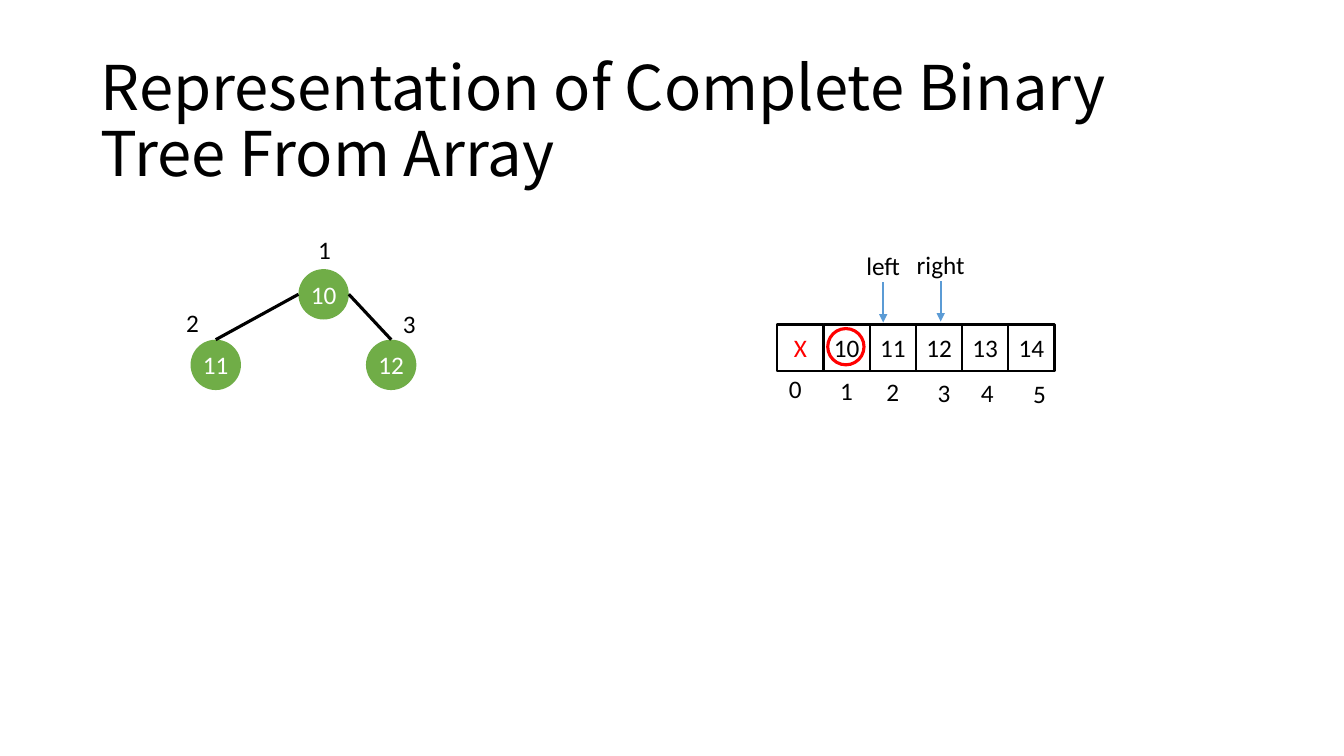
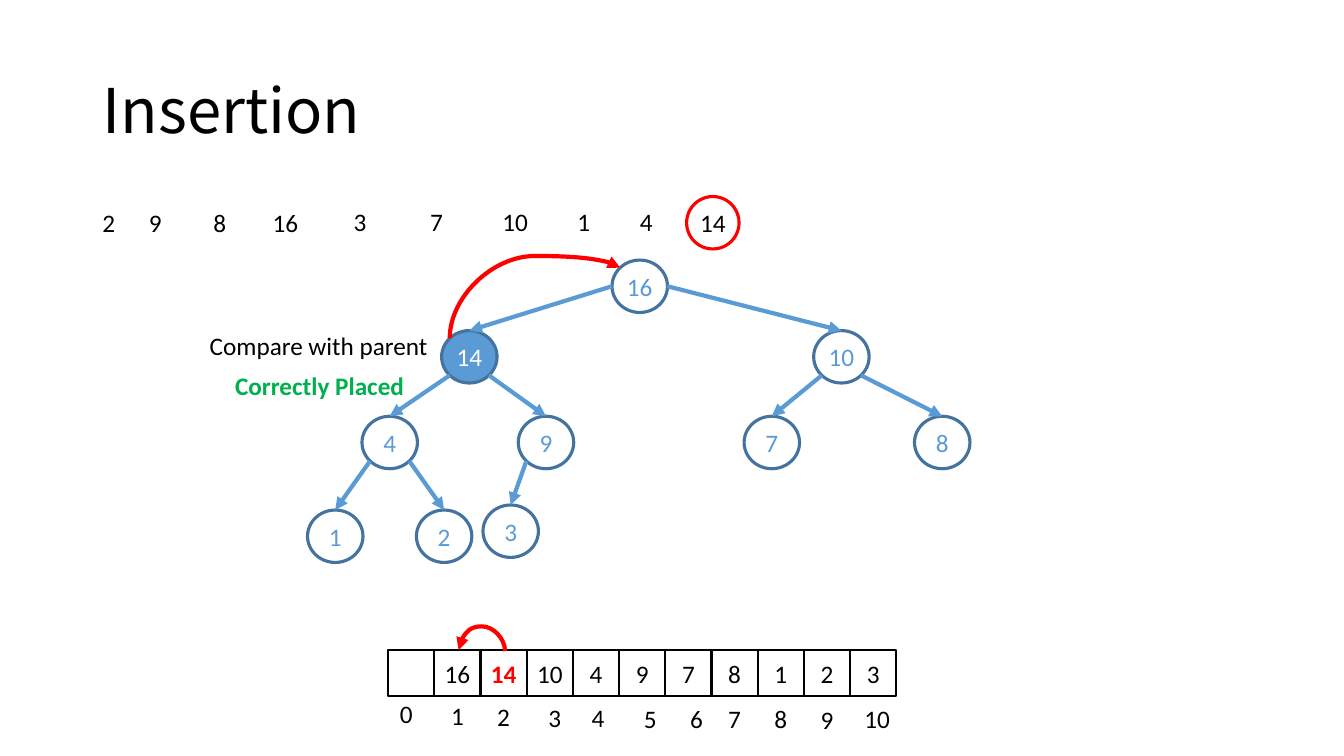
from math import cos, radians, sin

from lxml.etree import SubElement
from pptx import Presentation
from pptx.dml.color import RGBColor
from pptx.enum.shapes import MSO_CONNECTOR, MSO_SHAPE
from pptx.enum.text import MSO_ANCHOR, PP_ALIGN
from pptx.oxml.ns import qn
from pptx.util import Inches, Pt

BLACK, WHITE, RED = "000000", "FFFFFF", "FF0000"
GREEN, BLUE, DARK_BLUE, SUCCESS = "70AD47", "5B9BD5", "43739E", "00B050"
TITLE_FONT, BODY_FONT = "Noto Sans CJK SC", "Calibri"
LABEL_HEIGHT = 0.4
# Offset of each index label from its cell: (from cell centre, from cell top)
INDEX_OFFSETS = [
    (-0.05, 0.43), (0, 0.45), (0, 0.46), (0.05, 0.47), (0.02, 0.47), (0.08, 0.48),
    (0.08, 0.48), (0, 0.48), (0, 0.48), (0, 0.49), (0.04, 0.48),
]


def rgb(color):
    return RGBColor.from_string(color)


def rim_point(node, angle):
    """Point on an ellipse, in inches; angles run clockwise from the right."""
    rx, ry = node.width.inches / 2, node.height.inches / 2
    return (node.left.inches + rx + rx * cos(radians(angle)),
            node.top.inches + ry + ry * sin(radians(angle)))


class SlidePainter:
    def __init__(self, deck):
        self.deck = deck
        self.slide = None

    def new_slide(self, title, left, top):
        self.slide = self.deck.slides.add_slide(self.deck.slide_layouts[6])
        box = self.slide.shapes.add_textbox(
            Inches(left), Inches(top), Inches(11.5), Inches(1.45))
        self.set_text(box, title, BLACK, size=44, font=TITLE_FONT)
        box.text_frame.word_wrap = True
        paragraph = box.text_frame.paragraphs[0]
        paragraph.alignment = PP_ALIGN.LEFT
        paragraph.line_spacing = 0.9

    def set_text(self, shape, text, color, bold=False, size=18, font=BODY_FONT):
        frame = shape.text_frame
        frame.text = text
        frame.word_wrap = False
        frame.vertical_anchor = MSO_ANCHOR.MIDDLE
        paragraph = frame.paragraphs[0]
        paragraph.alignment = PP_ALIGN.CENTER
        paragraph.font.name = font
        paragraph.font.size = Pt(size)
        paragraph.font.bold = bold
        paragraph.font.color.rgb = rgb(color)

    def label(self, text, center, top, color=BLACK, bold=False, width=0.46):
        box = self.slide.shapes.add_textbox(
            Inches(center - width / 2), Inches(top), Inches(width), Inches(LABEL_HEIGHT))
        self.set_text(box, text, color, bold)

    def shape(self, kind, left, top, width, height, fill=None, line=None, weight=2.25):
        shape = self.slide.shapes.add_shape(
            kind, Inches(left), Inches(top), Inches(width), Inches(height))
        shape.shadow.inherit = False
        if fill:
            shape.fill.solid()
            shape.fill.fore_color.rgb = rgb(fill)
        else:
            shape.fill.background()
        if line:
            shape.line.color.rgb = rgb(line)
            shape.line.width = Pt(weight)
        else:
            shape.line.fill.background()
        return shape

    def circle(self, left, top, width, height, text="", color=BLACK, fill=None, line=None):
        circle = self.shape(MSO_SHAPE.OVAL, left, top, width, height, fill, line)
        if text:
            self.set_text(circle, text, color)
        return circle

    def line(self, start, end, color, weight, arrow=True, kind=MSO_CONNECTOR.STRAIGHT):
        connector = self.slide.shapes.add_connector(
            kind, *(Inches(value) for value in (*start, *end)))
        connector.line.color.rgb = rgb(color)
        connector.line.width = Pt(weight)
        properties = connector.element.spPr
        if arrow:
            SubElement(properties.find(qn("a:ln")), qn("a:tailEnd"), type="triangle")
        SubElement(properties, qn("a:effectLst"))
        return connector

    def arc(self, start, end, peak):
        """Red curved arrow that leaves and arrives vertically, bending at height peak."""
        (x1, y1), (x2, y2) = start, end
        x, y = (x1 + x2) / 2, (y1 + y2) / 2
        across, down = (y2 - y1) / 2, (x1 - x2) / 2
        connector = self.line((x - across, y - down), (x + across, y + down),
                              RED, 3, kind=MSO_CONNECTOR.CURVE)
        properties = connector.element.spPr
        properties.find(qn("a:xfrm")).set("rot", str(90 * 60000))
        bend = round((peak - y1) / (y2 - y1) * 100000)
        guides = properties.find(qn("a:prstGeom")).find(qn("a:avLst"))
        SubElement(guides, qn("a:gd"), name="adj1", fmla=f"val {bend}")

    def tree(self, nodes, size, node_style, edge_style, styles=None):
        """Draw a binary tree from (text, left, top) nodes in level order."""
        circles = []
        for index, (text, left, top) in enumerate(nodes):
            style = {**node_style, **(styles or {}).get(index, {})}
            circles.append(self.circle(left, top, *size, text, **style))
        for index in range(1, len(circles)):
            parent = (index - 1) // 2
            tilt = 45 if parent else 0
            angle = 180 - tilt if index % 2 else tilt
            self.line(rim_point(circles[parent], angle),
                      rim_point(circles[index], 270), **edge_style)
        return circles

    def array(self, values, left, top, width, accent, bold=False):
        """Row of cells with indexes below; the accent cell's text is red."""
        step = width / len(values)
        for index, (value, (shift, drop)) in enumerate(zip(values, INDEX_OFFSETS)):
            x = left + index * step
            cell = self.shape(MSO_SHAPE.RECTANGLE, x, top, step, step,
                              line=BLACK, weight=1.5)
            if value:
                marked = index == accent
                self.set_text(cell, value, RED if marked else BLACK, marked and bold)
            self.label(str(index), x + step / 2 + shift, top + drop)


def build_representation(painter):
    painter.new_slide("Representation of Complete Binary Tree From Array", 0.9, 0.5)
    painter.tree(
        [("10", 2.96, 2.67), ("11", 1.89, 3.37), ("12", 3.63, 3.37)], (0.5, 0.5),
        {"color": WHITE, "fill": GREEN},
        {"color": BLACK, "weight": 2.25, "arrow": False})
    for text, center, top in [("1", 3.22, 2.27), ("2", 1.91, 3), ("3", 4.06, 3.01)]:
        painter.label(text, center, top)

    painter.array(["X", "10", "11", "12", "13", "14"], 7.71, 3.22, 2.75, accent=0)
    painter.circle(8.21, 3.26, 0.36, 0.36, line=RED)
    for text, center, top in [("left", 8.76, 2.43), ("right", 9.33, 2.42)]:
        painter.label(text, center, top, width=0.7)
        painter.line((center, top + 0.37), (center, top + 0.77), BLUE, 1.5)


def build_insertion(painter):
    painter.new_slide("Insertion", 0.92, 0.4)
    sequence = [("2", 1.08, 2.01), ("9", 1.54, 2.01), ("8", 2.18, 2.01),
                ("16", 2.83, 2.01), ("3", 3.57, 2), ("7", 4.33, 2),
                ("10", 5.11, 2), ("1", 5.79, 2), ("4", 6.41, 2)]
    for text, center, top in sequence:
        painter.label(text, center, top)
    painter.circle(6.81, 1.95, 0.52, 0.52, "14", line=RED)

    heap = [("16", 6.07, 2.58), ("14", 4.38, 3.28), ("10", 8.07, 3.28),
            ("4", 3.59, 4.13), ("9", 5.14, 4.13), ("7", 7.38, 4.13), ("8", 9.07, 4.13),
            ("1", 3.05, 5.06), ("2", 4.13, 5.06), ("3", 4.79, 5.01)]
    circles = painter.tree(
        heap, (0.55, 0.52), {"color": BLUE, "line": DARK_BLUE},
        {"color": BLUE, "weight": 3}, {1: {"color": WHITE, "fill": BLUE}})
    painter.arc(rim_point(circles[1], 225), rim_point(circles[0], 225), 2.54)
    painter.label("Compare with parent", 3.16, 3.23, width=2.48)
    painter.label("Correctly Placed", 3.17, 3.62, SUCCESS, True, 2.05)

    painter.array([""] + [text for text, left, top in heap],
                  3.85, 6.45, 5.04, accent=2, bold=True)
    painter.arc((5.01, 6.46), (4.55, 6.45), 6.21)


def main():
    deck = Presentation()
    deck.slide_width, deck.slide_height = Inches(13.33), Inches(7.5)
    painter = SlidePainter(deck)
    build_representation(painter)
    build_insertion(painter)
    deck.save("out.pptx")


if __name__ == "__main__":
    main()
